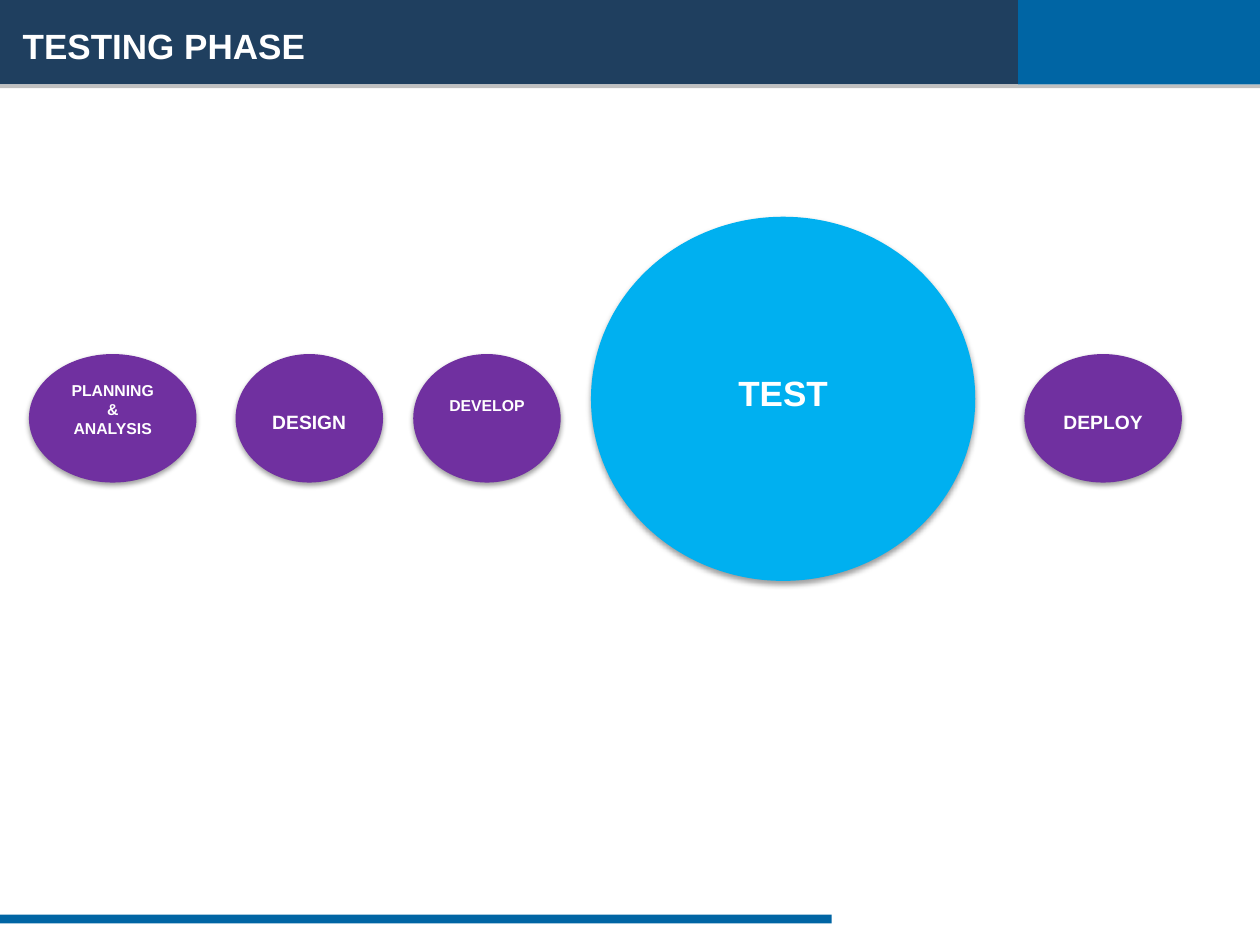
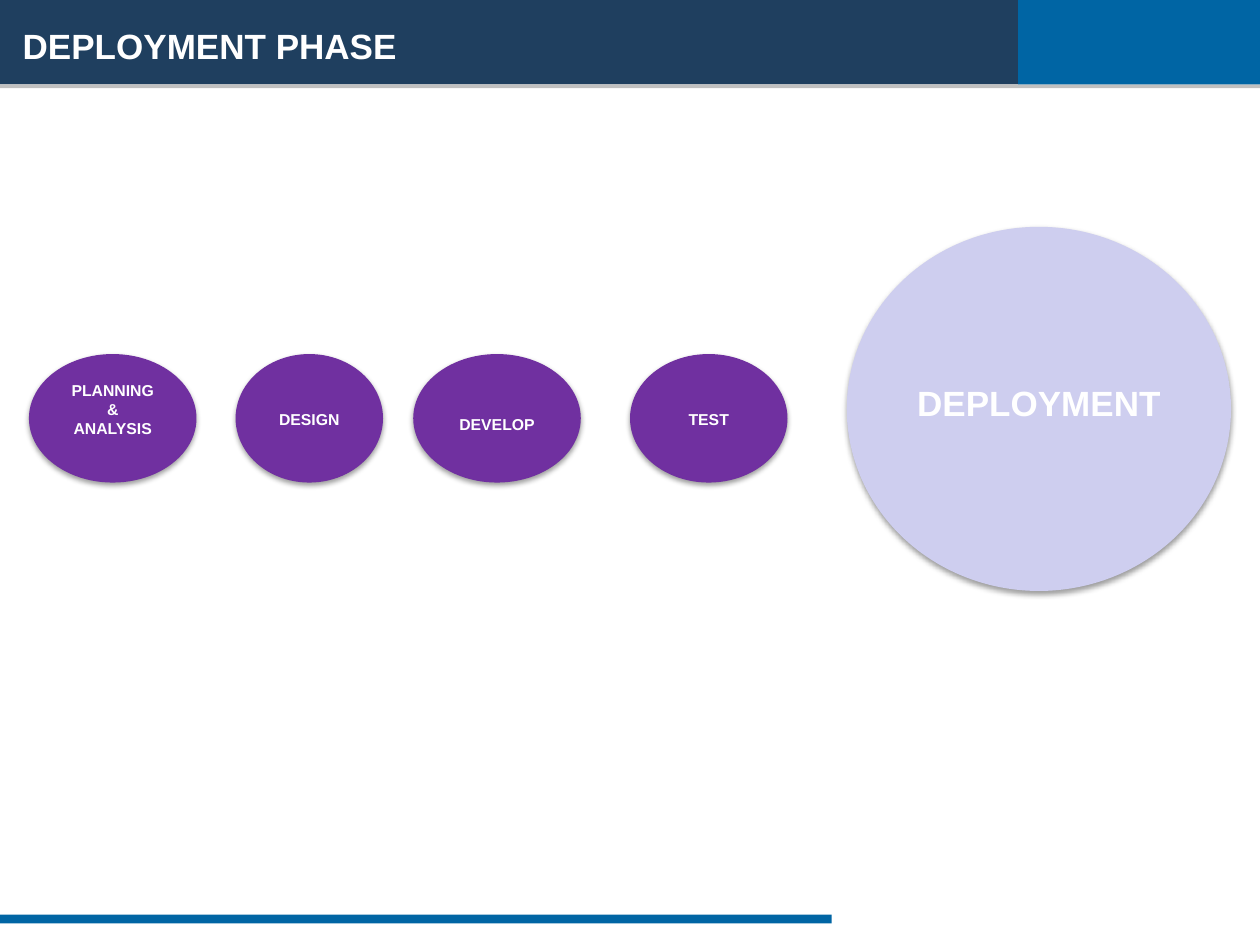
from dataclasses import dataclass

from lxml import etree
from pptx import Presentation
from pptx.dml.color import RGBColor
from pptx.enum import shapes, text
from pptx.oxml import ns
from pptx.util import Inches, Pt


@dataclass(frozen=True)
class Theme:
    font: str = "Arial"
    navy: str = "1F3F5F"
    blue: str = "0065A4"
    rule: str = "C0C0C0"
    done: str = "7030A0"
    testing: str = "00B0F0"
    deployment: str = "CECEEF"
    white: str = "FFFFFF"
    heading: int = 20
    label: int = 11
    small_label: int = 9


THEME = Theme()


def add_filled(page, kind, left, top, width, height, color):
    shape = page.shapes.add_shape(
        kind, Inches(left), Inches(top), Inches(width), Inches(height))
    shape.fill.solid()
    shape.fill.fore_color.rgb = RGBColor.from_string(color)
    shape.line.fill.background()
    shape.shadow.inherit = False
    return shape


def write_text(box, words, *, size, align, side, shift=0):
    """Write bold white text, moved down from the middle by shift inches."""
    frame = box.text_frame
    frame.word_wrap = True
    frame.auto_size = text.MSO_AUTO_SIZE.NONE
    frame.vertical_anchor = text.MSO_ANCHOR.MIDDLE
    frame.margin_left = frame.margin_right = Inches(side)
    frame.margin_top = Inches(max(2 * shift, 0))
    frame.margin_bottom = Inches(max(-2 * shift, 0))
    para = frame.paragraphs[0]
    para.alignment = align
    span = para.add_run()
    span.text = words
    span.font.name = THEME.font
    span.font.size = Pt(size)
    span.font.bold = True
    span.font.color.rgb = RGBColor.from_string(THEME.white)


deck = Presentation()
deck.slide_width, deck.slide_height = Inches(10), Inches(7.5)
layout = deck.slide_layouts.get_by_name("Title Only")

title = layout.placeholders[0]
title.left, title.top = Inches(0.08), Inches(0.08)
title.width, title.height = Inches(7.83), Inches(0.5)

# Each phase: label, left, top, width, height, fill, type size, text shift
STEP_TOP, STEP_HEIGHT = 2.81, 1.02
FOCUS_WIDTH, FOCUS_HEIGHT = 3.05, 2.89


def_step = (THEME.done, THEME.small_label)
planning = ("PLANNING & ANALYSIS", 0.23, STEP_TOP, 1.33, STEP_HEIGHT, *def_step, -0.07)
SLIDES = {
    "TESTING PHASE": [
        planning,
        ("DESIGN", 1.87, STEP_TOP, 1.17, STEP_HEIGHT, THEME.done, THEME.label, 0.03),
        ("DEVELOP", 3.28, STEP_TOP, 1.17, STEP_HEIGHT, *def_step, -0.1),
        ("TEST", 4.69, 1.72, FOCUS_WIDTH, FOCUS_HEIGHT,
         THEME.testing, THEME.heading, -0.05),
        ("DEPLOY", 8.13, STEP_TOP, 1.25, STEP_HEIGHT, THEME.done, THEME.label, 0.03),
    ],
    "DEPLOYMENT PHASE": [
        planning,
        ("DESIGN", 1.87, STEP_TOP, 1.17, STEP_HEIGHT, *def_step, 0.01),
        ("DEVELOP", 3.28, STEP_TOP, 1.33, STEP_HEIGHT, *def_step, 0.05),
        ("TEST", 5, STEP_TOP, 1.25, STEP_HEIGHT, *def_step, 0.01),
        ("DEPLOYMENT", 6.72, 1.8, FOCUS_WIDTH, FOCUS_HEIGHT,
         THEME.deployment, THEME.heading, -0.05),
    ],
}

pages = [deck.slides.add_slide(layout) for _ in SLIDES]

# The bands belong to the layout, behind its placeholders
BANDS = [
    (0, 0, 8.08, 0.67, THEME.navy),
    (0, 0.67, 10, 0.03, THEME.rule),
    (8.08, 0, 1.92, 0.67, THEME.blue),
    (0, 7.26, 6.6, 0.07, THEME.blue),
]
for position, (*area, color) in enumerate(BANDS, start=2):
    band = add_filled(pages[0], shapes.MSO_SHAPE.RECTANGLE, *area, color)
    band.shape_id  # keeps its number when it moves to the layout
    layout.shapes.element.insert(position, band.element)

for page, (heading, phases) in zip(pages, SLIDES.items()):
    write_text(page.shapes.title, heading, size=THEME.heading,
               align=text.PP_ALIGN.LEFT, side=0.1, shift=0.03)
    for label, *area, color, size, shift in phases:
        phase = add_filled(page, shapes.MSO_SHAPE.OVAL, *area, color)
        write_text(phase, label, size=size, align=text.PP_ALIGN.CENTER,
                   side=0.11, shift=shift)
        effects = phase.element.spPr.find(ns.qn("a:effectLst"))
        shadow = etree.SubElement(
            effects, ns.qn("a:outerShdw"), blurRad=str(Pt(3.1)), dist=str(Pt(1.6)),
            dir="5400000", rotWithShape="0")
        black = etree.SubElement(shadow, ns.qn("a:srgbClr"), val="000000")
        etree.SubElement(black, ns.qn("a:alpha"), val="38000")

deck.save("out.pptx")
